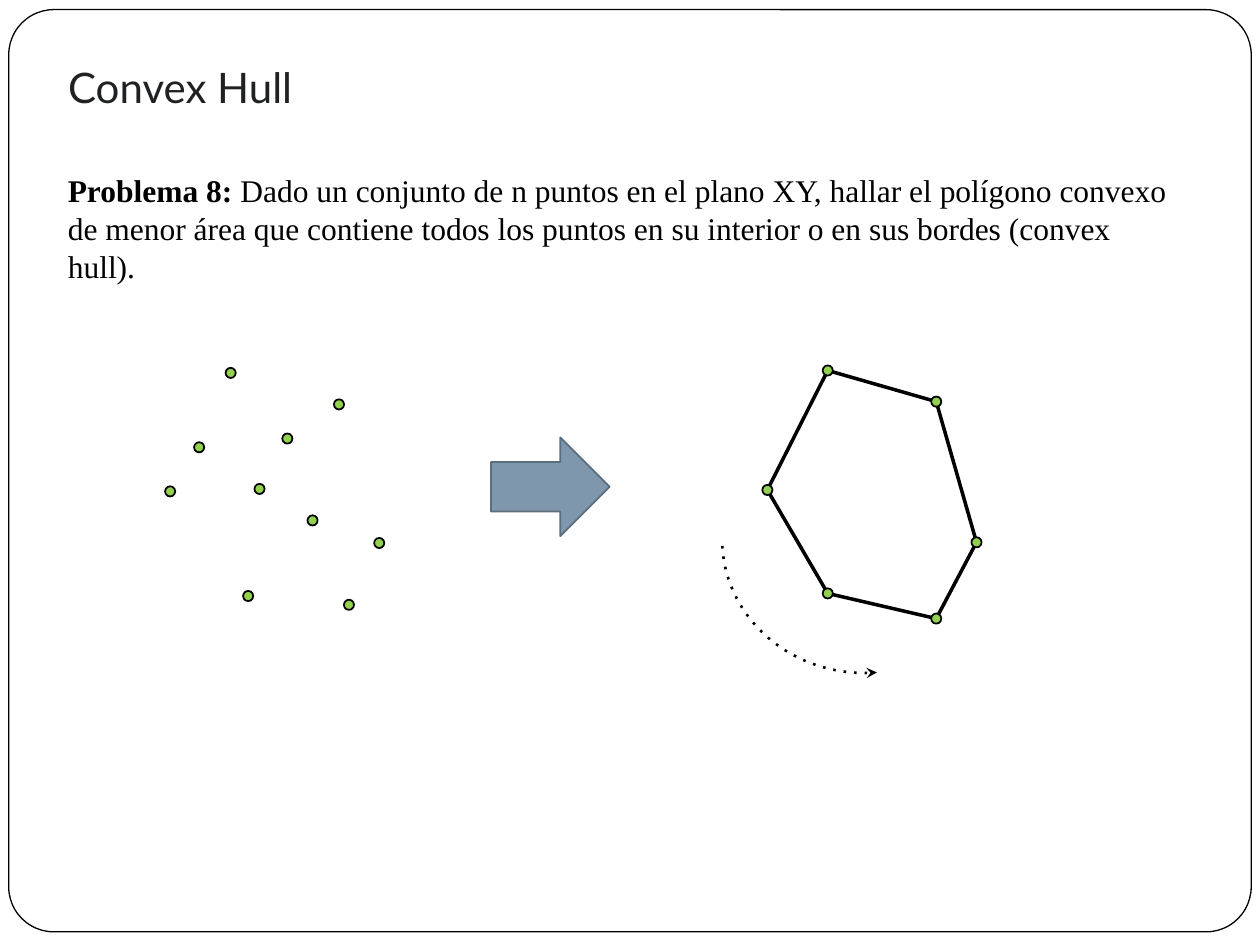
"""Build the slide that states the convex hull problem."""
from lxml import etree
from pptx import Presentation
from pptx.dml.color import RGBColor
from pptx.enum import shapes, text
from pptx.oxml.ns import qn
from pptx.util import Pt

TITLE = "Convex Hull"
LABEL = "Problema 8: "
TASK = ("Dado un conjunto de n puntos en el plano XY, hallar el polígono convexo "
        "de menor área que contiene todos los puntos en su interior o en sus "
        "bordes (convex hull).")
CLOUD = [(97.2, 280.8), (216.7, 310.3), (131.8, 213.1), (141.8, 340.6),
         (199.4, 345.6), (193.7, 231.1), (178.6, 297.4), (113.8, 255.6),
         (164.2, 250.6), (148.3, 279.4)]
HULL = [(438.5, 280), (473, 339.1), (535, 353.5), (558, 309.9),
        (535, 229.5), (473, 211.7)]
DOT = 5.8
BLACK, WHITE, GREEN = "000000", "FFFFFF", "92D050"
KIND = shapes.MSO_SHAPE


def paint(part, hue):
    part.solid()
    part.fore_color.rgb = RGBColor.from_string(hue)


def style(font, name, size, hue):
    font.name, font.size = name, Pt(size)
    font.color.rgb = RGBColor.from_string(hue)


def draw(kind, box, fill, line, width, adjust=()):
    shape = slide.shapes.add_shape(kind, *map(Pt, box))
    shape.shadow.inherit = False
    if fill:
        paint(shape.fill, fill)
    else:
        shape.fill.background()
    paint(shape.line.fill, line)
    shape.line.width = Pt(width)
    for i, value in enumerate(adjust):
        shape.adjustments[i] = value
    return shape


def inset(frame, bottom):
    frame.word_wrap = True
    frame.margin_left = frame.margin_right = Pt(7.2)
    frame.margin_top, frame.margin_bottom = Pt(3.6), Pt(bottom)


def place(shape, box):
    shape.left, shape.top, shape.width, shape.height = map(Pt, box)


deck = Presentation()
deck.slide_width, deck.slide_height = Pt(720), Pt(540)
slide = deck.slides.add_slide(deck.slide_layouts[5])

title = slide.shapes.title
border = draw(KIND.ROUNDED_RECTANGLE, (5, 5.5, 710, 527), WHITE, BLACK, 0.75, [0.049])
title._element.addprevious(border._element)
place(title, (31.7, 21.6, 612, 49.7))
frame = title.text_frame
inset(frame, 7.2)
frame.auto_size = text.MSO_AUTO_SIZE.NONE
frame.vertical_anchor = text.MSO_ANCHOR.BOTTOM
frame.text = TITLE
head = frame.paragraphs[0]
head.alignment = text.PP_ALIGN.LEFT
style(head.font, "Lato", 24, "1F2123")

body = slide.shapes.add_textbox(*map(Pt, (31.7, 94.3, 652.3, 51)))
frame = body.text_frame
inset(frame, 3.6)
frame.auto_size = text.MSO_AUTO_SIZE.SHAPE_TO_FIT_TEXT
para = frame.paragraphs[0]
style(para.font, "Times New Roman", 18, BLACK)
for words, bold in ((LABEL, True), (TASK, False)):
    run = para.add_run()
    run.text, run.font.bold = words, bold

for start, end in zip(HULL, HULL[1:] + HULL[:1]):
    edge = slide.shapes.add_connector(shapes.MSO_CONNECTOR.STRAIGHT, *map(Pt, start + end))
    paint(edge.line.fill, BLACK)
    edge.line.width = Pt(2)
    etree.SubElement(edge._element.spPr, qn("a:effectLst"))

for x, y in CLOUD + HULL:
    draw(KIND.OVAL, (x - DOT / 2, y - DOT / 2, DOT, DOT), GREEN, BLACK, 1)

draw(KIND.RIGHT_ARROW, (280.6, 250, 67.8, 56.4), "7E97AD", "5B6E7E", 1, [0.5, 0.5])

sweep = draw(KIND.ARC, (412.6, 234, 160.6, 150.5), None, BLACK, 1.5, [155.278, 213.766])
sweep.rotation = 185
stroke = sweep.line._get_or_add_ln()
etree.SubElement(stroke, qn("a:prstDash"), val="dot")
etree.SubElement(stroke, qn("a:headEnd"), type="stealth")

deck.save("out.pptx")
